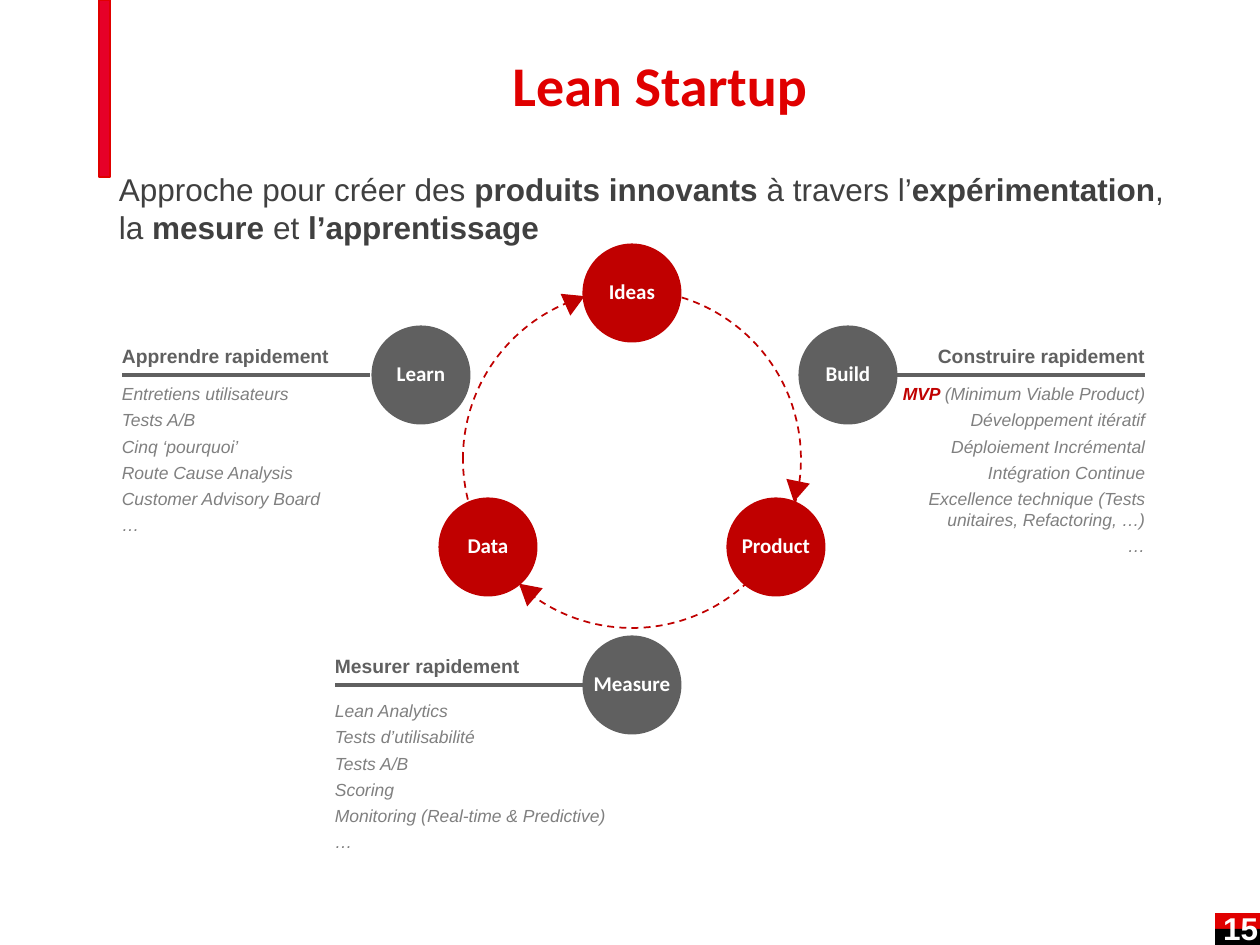
from dataclasses import dataclass

from lxml import etree
from pptx import Presentation
from pptx import util as u
from pptx.dml.color import RGBColor
from pptx.enum import dml, shapes, text
from pptx.oxml.ns import qn

PX_PER_INCH = 126
LEFT, CENTER, RIGHT = text.PP_ALIGN.LEFT, text.PP_ALIGN.CENTER, text.PP_ALIGN.RIGHT
TOP, MIDDLE = text.MSO_ANCHOR.TOP, text.MSO_ANCHOR.MIDDLE
RECT, OVAL = shapes.MSO_SHAPE.RECTANGLE, shapes.MSO_SHAPE.OVAL
TRIANGLE = shapes.MSO_SHAPE.ISOSCELES_TRIANGLE


@dataclass(frozen=True)
class Theme:
    heading_font: str = "Calibri"
    body_font: str = "Arial"
    red: str = "E00000"
    bar_red: str = "E60028"
    dark_red: str = "C00000"
    gray: str = "606060"
    light_gray: str = "808080"
    ink: str = "404040"
    white: str = "FFFFFF"
    black: str = "000000"
    title_size: int = 32
    intro_size: int = 18
    page_size: int = 18
    node_size: int = 12
    label_size: int = 11
    item_size: int = 10


THEME = Theme()


def px(length):
    return u.Emu(round(length * u.Inches(1) / PX_PER_INCH))


def color(value):
    return RGBColor.from_string(value)


def write(frame, paragraphs, *, size, ink, font=THEME.body_font, bold=False,
          italic=False, align=LEFT, anchor=TOP, wrap=True, before=0,
          spacing=None, right_inset=0):
    """Fill a frame; a paragraph is a string or a list of (text, changes) runs."""
    frame.word_wrap = wrap
    frame.vertical_anchor = anchor
    frame.margin_left = frame.margin_top = frame.margin_bottom = 0
    frame.margin_right = px(right_inset)
    for index, content in enumerate(paragraphs):
        paragraph = frame.add_paragraph() if index else frame.paragraphs[0]
        paragraph.alignment = align
        paragraph.space_before = u.Pt(before)
        if spacing:
            paragraph.line_spacing = spacing
        runs = [(content, {})] if isinstance(content, str) else content
        for words, changes in runs:
            run = paragraph.add_run()
            run.text = words
            run.font.name = font
            run.font.size = u.Pt(size)
            run.font.bold = changes.get("bold", bold)
            run.font.italic = italic
            run.font.color.rgb = color(changes.get("ink", ink))


def text_box(slide, box, paragraphs, **style):
    write(slide.shapes.add_textbox(*map(px, box)).text_frame, paragraphs, **style)


def add_shape(slide, kind, box, fill=None, line=None, width=1, dash=None, turn=0):
    shape = slide.shapes.add_shape(kind, *map(px, box))
    shape.shadow.inherit = False
    shape.rotation = turn
    if fill:
        shape.fill.solid()
        shape.fill.fore_color.rgb = color(fill)
    else:
        shape.fill.background()
    if line:
        shape.line.color.rgb = color(line)
        shape.line.width = u.Pt(width)
        shape.line.dash_style = dash
    else:
        shape.line.fill.background()
    return shape


def rule(slide, start, end, y):
    line = slide.shapes.add_connector(shapes.MSO_CONNECTOR.STRAIGHT,
                                      px(start), px(y), px(end), px(y))
    line.line.color.rgb = color(THEME.gray)
    line.line.width = u.Pt(2.25)
    etree.SubElement(line._element.spPr, qn("a:effectLst"))


def node(slide, label, center_x, center_y, fill):
    diameter = 99
    circle = add_shape(slide, OVAL, (center_x - diameter / 2, center_y - diameter / 2,
                                     diameter, diameter), fill)
    write(circle.text_frame, [label], size=THEME.node_size, ink=THEME.white,
          font=THEME.heading_font, bold=True, align=CENTER, anchor=MIDDLE,
          wrap=False, spacing=0.9)


def practice(slide, label, items, left, right, y, list_gap, list_height, align):
    """Label above a rule, with the list of practices below it."""
    def aligned(width):
        return right - width if align == RIGHT else left

    rule(slide, right, left, y)
    text_box(slide, (aligned(288), y - 31, 288, 24), [label], size=THEME.label_size,
             ink=THEME.gray, bold=True, align=align, before=3)
    text_box(slide, (aligned(280), y + list_gap, 280, list_height), items,
             size=THEME.item_size, ink=THEME.light_gray, italic=True,
             align=align, before=3)


def frame_slide(slide):
    # Page number tab and title bar
    add_shape(slide, RECT, (1215, 913, 45, 32), THEME.red)
    add_shape(slide, RECT, (1215, 929, 45, 16), THEME.black)
    add_shape(slide, RECT, (99, 0, 11, 177), THEME.bar_red, THEME.red, 0.75)
    text_box(slide, (118, 53, 1084, 77), ["Lean Startup"], size=THEME.title_size,
             ink=THEME.red, font=THEME.heading_font, bold=True, align=CENTER,
             anchor=MIDDLE, spacing=0.75)
    text_box(slide, (1213, 912, 54, 32), ["15"], size=THEME.page_size,
             ink=THEME.white, bold=True, align=RIGHT, anchor=MIDDLE, right_inset=9)


def cycle(slide):
    # Dashed loop, with its results in red and its activities in gray
    add_shape(slide, OVAL, (463, 290, 338, 338), line=THEME.dark_red,
              dash=dml.MSO_LINE.DASH)
    for label, x, y in (("Ideas", 632, 293), ("Product", 776, 547), ("Data", 488, 547)):
        node(slide, label, x, y, THEME.dark_red)
    for x, y, turn in ((563, 290, 65.9), (784, 481, 191.5), (515, 580, 310.5)):
        add_shape(slide, TRIANGLE, (x, y, 24, 21), THEME.dark_red, turn=turn)
    for label, x, y in (("Build", 848, 375), ("Learn", 421, 375), ("Measure", 632, 685)):
        node(slide, label, x, y, THEME.gray)


def main():
    deck = Presentation()
    deck.slide_width, deck.slide_height = px(1260), px(945)
    slide = deck.slides.add_slide(deck.slide_layouts[6])
    frame_slide(slide)

    # Introduction
    strong = {"bold": True}
    text_box(slide, (119, 170, 1047, 77), [[
        ("Approche pour créer des ", {}), ("produits innovants", strong),
        (" à travers l’", {}), ("expérimentation", strong), (", la", {}),
        (" mesure", strong), (" et ", {}), ("l’apprentissage", strong),
    ]], size=THEME.intro_size, ink=THEME.ink)

    cycle(slide)

    # Practices beside each activity
    practice(slide, "Apprendre rapidement",
             ["Entretiens utilisateurs", "Tests A/B", "Cinq ‘pourquoi’",
              "Route Cause Analysis", "Customer Advisory Board", "…"],
             122, 370, 375, 8, 154, LEFT)
    mvp = [("MVP ", {"bold": True, "ink": THEME.dark_red}),
           ("(Minimum Viable Product)", {})]
    practice(slide, "Construire rapidement",
             [mvp, "Développement itératif", "Déploiement Incrémental",
              "Intégration Continue",
              "Excellence technique (Tests unitaires, Refactoring, …)", "…"],
             897, 1145, 375, 8, 175, RIGHT)
    practice(slide, "Mesurer rapidement",
             ["Lean Analytics", "Tests d’utilisabilité", "Tests A/B", "Scoring",
              "Monitoring (Real-time & Predictive)", "…"],
             335, 583, 685, 15, 154, LEFT)

    deck.save("out.pptx")


if __name__ == "__main__":
    main()
